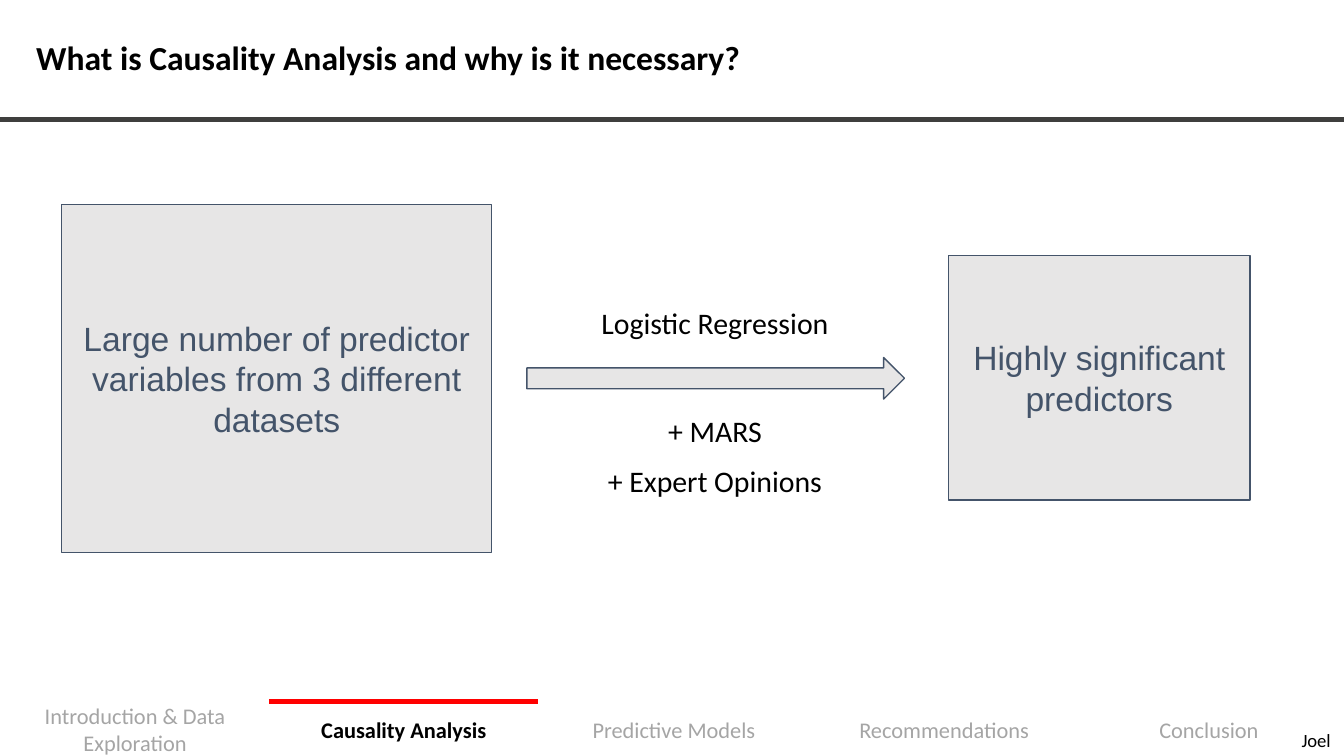
from lxml.etree import SubElement
from pptx import Presentation
from pptx.dml.color import RGBColor
from pptx.enum.shapes import MSO_CONNECTOR as Connector, MSO_SHAPE as Shape
from pptx.enum.text import MSO_ANCHOR as Anchor, PP_ALIGN as Align
from pptx.oxml.ns import qn
from pptx.util import Inches, Pt

COLORS = {
    "text": "000000",
    "muted": "A5A5A5",
    "accent": "FF0000",
    "rule": "3F3F3E",
    "fill": "E7E6E6",
    "slate": "44546A",
}
SECTIONS = [(0, "Introduction & Data Exploration"), (2, "Causality Analysis"),
            (4.01, "Predictive Models"), (6.02, "Recommendations"), (7.99, "Conclusion")]
CURRENT_SECTION = "Causality Analysis"
SLIDE_WIDTH = 10
SLIDE_HEIGHT = SLIDE_WIDTH * 9 / 16
NAV_TOP = 5.22


def color(name):
    return RGBColor.from_string(COLORS[name])


def write_text(shape, text, size, color_name="text", font="Calibri", bold=False,
               align=Align.CENTER, anchor=Anchor.TOP, insets=(0.1, 0.1, 0.1, 0.1)):
    frame = shape.text_frame
    frame.word_wrap = True
    frame.vertical_anchor = anchor
    (frame.margin_left, frame.margin_top,
     frame.margin_right, frame.margin_bottom) = map(Inches, insets)
    paragraph = frame.paragraphs[0]
    paragraph.alignment = align
    run = paragraph.add_run()
    run.text = text
    run.font.name = font
    run.font.size = Pt(size)
    run.font.bold = bold
    run.font.color.rgb = color(color_name)
    return paragraph


def add_text(slide, box, text, size, **style):
    shape = slide.shapes.add_textbox(*map(Inches, box))
    return write_text(shape, text, size, **style)


def add_block(slide, kind, box):
    shape = slide.shapes.add_shape(kind, *map(Inches, box))
    shape.shadow.inherit = False
    shape.fill.solid()
    shape.fill.fore_color.rgb = color("fill")
    shape.line.color.rgb = color("slate")
    shape.line.width = Pt(0.75)
    return shape


def add_text_block(slide, box, text):
    shape = add_block(slide, Shape.RECTANGLE, box)
    write_text(shape, text, 18, color_name="slate", font="Arial", anchor=Anchor.MIDDLE)


def add_horizontal_line(slide, left, right, top, color_name):
    line = slide.shapes.add_connector(
        Connector.STRAIGHT, Inches(left), Inches(top), Inches(right), Inches(top))
    line.line.color.rgb = color(color_name)
    line.line.width = Pt(2.25)
    SubElement(line._element.spPr, qn("a:effectLst"))


def add_navigation(slide):
    for left, section in SECTIONS:
        current = section == CURRENT_SECTION
        add_text(slide, (left, NAV_TOP, 2.01, 0.41), section, 12,
                 color_name="text" if current else "muted", bold=current,
                 anchor=Anchor.MIDDLE, insets=(0.07, 0.04, 0.07, 0.04))
        if current:
            add_horizontal_line(slide, left, left + 2, NAV_TOP, "accent")


def add_title(slide, text):
    paragraph = add_text(slide, (0.12, 0.07, 8.43, 0.75), text, 18, bold=True,
                         align=Align.LEFT, anchor=Anchor.MIDDLE,
                         insets=(0.15, 0.04, 0.07, 0.04))
    paragraph.line_spacing = 0.9
    add_horizontal_line(slide, 0, SLIDE_WIDTH, 0.89, "rule")


def add_process(slide):
    add_text_block(slide, (0.46, 1.52, 3.2, 2.59),
                   "Large number of predictor variables from 3 different datasets")
    add_block(slide, Shape.RIGHT_ARROW, (3.92, 2.66, 2.81, 0.31))
    add_text_block(slide, (7.06, 1.9, 2.24, 1.82), "Highly significant predictors")
    methods = [(2.17, "Logistic Regression"), (2.97, "+ MARS"), (3.34, "+ Expert Opinions")]
    for top, method in methods:
        add_text(slide, (4.04, top, 2.56, 0.49), method, 16)


def main():
    presentation = Presentation()
    presentation.slide_width = Inches(SLIDE_WIDTH)
    presentation.slide_height = Inches(SLIDE_HEIGHT)
    slide = presentation.slides.add_slide(presentation.slide_layouts[6])
    add_navigation(slide)
    add_title(slide, "What is Causality Analysis and why is it necessary?")
    add_process(slide)
    add_text(slide, (8.97, 5.34, 1.03, 0.37), "Joel", 10, align=Align.RIGHT)
    presentation.save("out.pptx")


if __name__ == "__main__":
    main()
